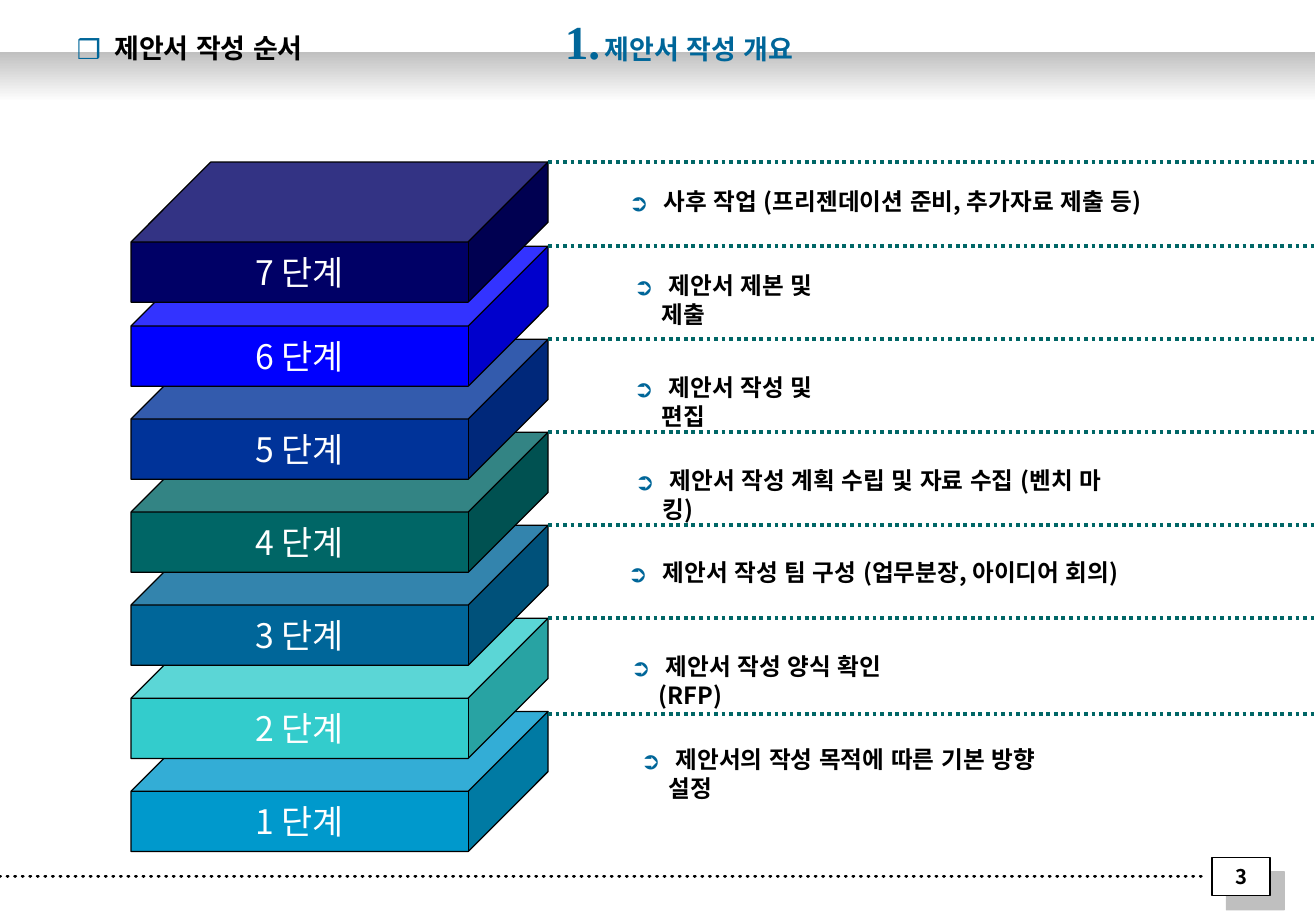
"""Build the slide showing the seven steps of writing a proposal."""
from lxml.etree import SubElement
from pptx import Presentation
from pptx.dml.color import RGBColor
from pptx.enum.dml import MSO_LINE
from pptx.enum.lang import MSO_LANGUAGE_ID
from pptx.enum.shapes import MSO_CONNECTOR, MSO_SHAPE
from pptx.enum.text import MSO_ANCHOR, PP_ALIGN
from pptx.oxml.ns import qn
from pptx.util import Inches, Pt

PX = 7532
FONT = "Noto Sans CJK KR"
BLACK = RGBColor(0, 0, 0)
WHITE = RGBColor(255, 255, 255)
SILVER = RGBColor(0xC0, 0xC0, 0xC0)
BLUE = RGBColor(0, 0x66, 0x99)
TEAL = RGBColor(0, 0x66, 0x66)


def write(frame, text, size=14, color=BLACK, bold=True, font=FONT,
          align=PP_ALIGN.LEFT, bullet=None, hang=0):
    """Append a formatted run to the first paragraph of a text frame."""
    para = frame.paragraphs[0]
    para.alignment = align
    if bullet:
        properties = para._p.get_or_add_pPr()
        properties.set("marL", str(hang * PX))
        properties.set("indent", str(-hang * PX))
        bullet_color = SubElement(properties, qn("a:buClr"))
        SubElement(bullet_color, qn("a:srgbClr"), val=str(BLUE))
        SubElement(properties, qn("a:buFont"), typeface=FONT)
        SubElement(properties, qn("a:buChar"), char=bullet)
    span = para.add_run()
    span.text = text
    span.font.size = Pt(size)
    span.font.bold = bold
    span.font.name = font
    span.font.color.rgb = color
    span.font.language_id = MSO_LANGUAGE_ID.KOREAN
    run_properties = span._r.get_or_add_rPr()
    run_properties.set("kern", "0")
    SubElement(run_properties, qn("a:ea"), typeface=font)


def draw_line(left, right, y, color, cap="flat"):
    """Draw a dotted horizontal rule without a shadow."""
    line = slide.shapes.add_connector(
        MSO_CONNECTOR.STRAIGHT, left * PX, y * PX, right * PX, y * PX)
    line.line.color.rgb = color
    line.line.width = Pt(2.25)
    line.line.dash_style = MSO_LINE.ROUND_DOT
    line.line._get_or_add_ln().set("cap", cap)
    SubElement(line._element.spPr, qn("a:effectLst"))


deck = Presentation()
deck.slide_width, deck.slide_height = Inches(10.84), Inches(7.5)
slide = deck.slides.add_slide(deck.slide_layouts[6])

band = slide.shapes.add_shape(MSO_SHAPE.RECTANGLE, 0, 52 * PX, 1315 * PX, 50 * PX)
band.shadow.inherit = False
band.line.fill.background()
band.fill.gradient()
band.fill.gradient_angle = 270
for stop, color in zip(band.fill.gradient_stops, (SILVER, WHITE)):
    stop.color.rgb = color

draw_line(0, 1202, 876, BLACK, cap="rnd")

page = slide.shapes.add_shape(
    MSO_SHAPE.RECTANGLE, 1212 * PX, 857 * PX, 58 * PX, 38 * PX)
page.fill.solid()
page.fill.fore_color.rgb = WHITE
page.line.color.rgb = BLACK
page.line.width = Pt(0.75)
page.shadow.inherit = False
effects = page._element.spPr.find(qn("a:effectLst"))
shadow = SubElement(effects, qn("a:outerShdw"), dist=str(Pt(12.1)), dir="2700000")
shadow_color = SubElement(shadow, qn("a:srgbClr"), val="808080")
SubElement(shadow_color, qn("a:alpha"), val="50000")
write(page.text_frame, "3", size=12, align=PP_ALIGN.CENTER)

heading = slide.shapes.add_textbox(65 * PX, 26 * PX, 251 * PX, 45 * PX)
write(heading.text_frame, " 제안서 작성 순서", size=16, bullet="❒", hang=30)

title = slide.shapes.add_textbox(553 * PX, 6 * PX, 345 * PX, 69 * PX)
title.text_frame.word_wrap = True
write(title.text_frame, "1.", size=28, color=BLUE, font="Times New Roman")
write(title.text_frame, " ", size=12, color=BLUE)
write(title.text_frame, "제안서 작성 개요", size=16, color=BLUE)

steps = [
    (711, 714, RGBColor(0, 0x99, 0xCC), 629, 739, 433, "제안서의 작성 목적에 따른 기본 방향 설정"),
    (618, 618, RGBColor(0x33, 0xCC, 0xCC), 619, 646, 323, "제안서 작성 양식 확인 (RFP)"),
    (525, 525, BLUE, 616, 552, 560, "제안서 작성 팀 구성 (업무분장, 아이디어 회의)"),
    (432, 432, TEAL, 623, 460, 513, "제안서 작성 계획 수립 및 자료 수집 (벤치 마킹)"),
    (339, 339, RGBColor(0, 0x33, 0x99), 622, 367, 220, "제안서 작성 및 편집"),
    (246, 246, RGBColor(0, 0, 0xFF), 622, 265, 220, "제안서 제본 및 제출"),
    (162, 162, RGBColor(0, 0, 0x66), 617, 181, 580, "사후 작업 (프리젠데이션 준비, 추가자료 제출 등)"),
]
for number, (top, rule, color, left, text_top, width, label) in enumerate(steps, 1):
    cube = slide.shapes.add_shape(
        MSO_SHAPE.CUBE, 131 * PX, top * PX, 417 * PX, 140 * PX)
    cube.adjustments[0] = 0.57
    cube.shadow.inherit = False
    cube.fill.solid()
    cube.fill.fore_color.rgb = color
    cube.line.color.rgb = BLACK
    cube.line.width = Pt(0.75)
    cube.text_frame.vertical_anchor = MSO_ANCHOR.MIDDLE
    write(cube.text_frame, f"{number} 단계", size=20, color=WHITE, bold=False,
          align=PP_ALIGN.CENTER)

    draw_line(548, 1315, rule, TEAL)

    box = slide.shapes.add_textbox(left * PX, text_top * PX, width * PX, 41 * PX)
    box.text_frame.word_wrap = True
    write(box.text_frame, f" {label}", bullet="➲", hang=28)

deck.save("out.pptx")
